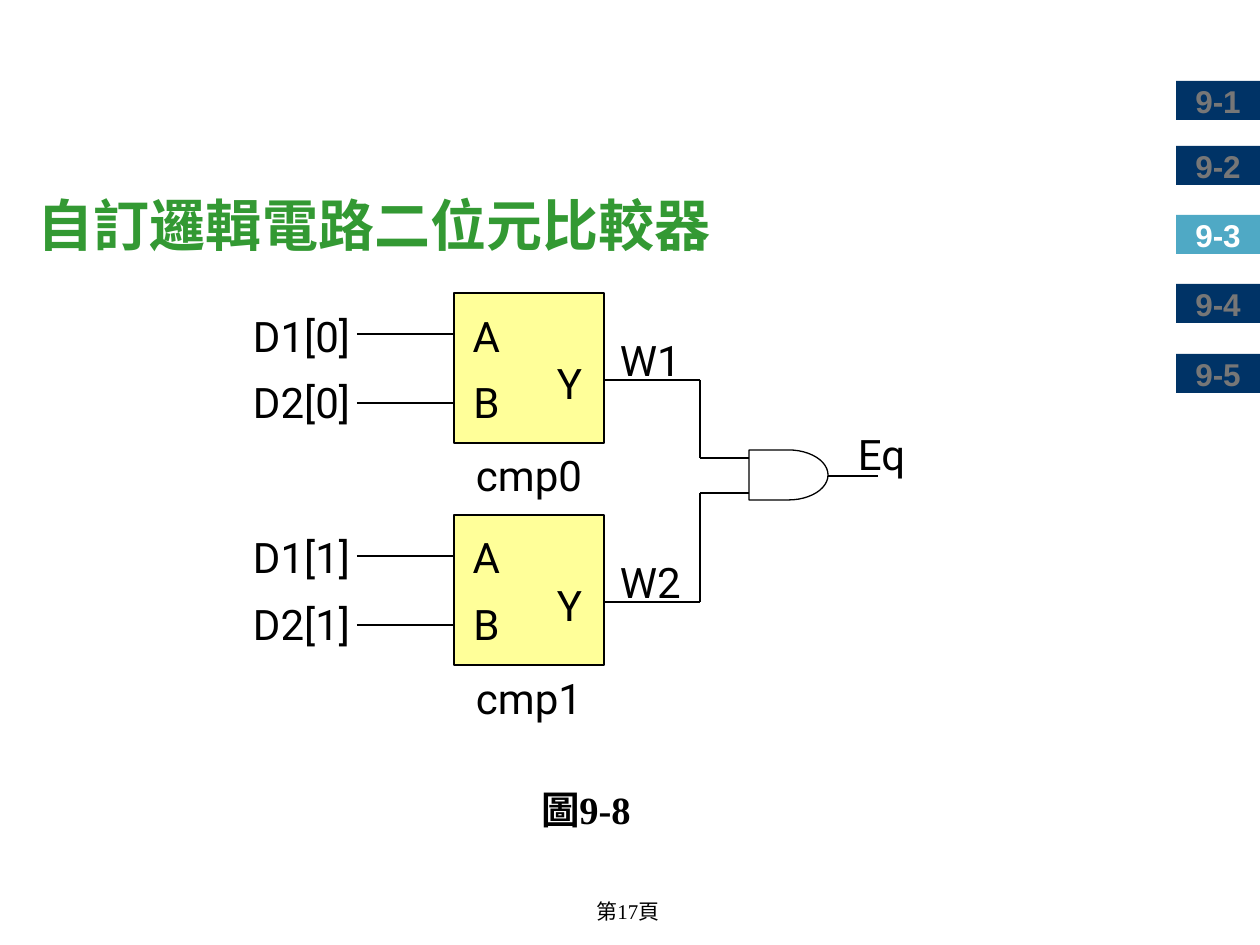
from pptx import Presentation
from pptx.dml.color import RGBColor
from pptx.enum.shapes import MSO_CONNECTOR, MSO_SHAPE
from pptx.enum.text import MSO_ANCHOR, PP_ALIGN
from pptx.oxml.ns import qn
from pptx.util import Emu, Pt

RECT = MSO_SHAPE.RECTANGLE
GATE = MSO_SHAPE.FLOWCHART_DELAY
LINE = MSO_CONNECTOR.STRAIGHT
LEFT, MID = PP_ALIGN.LEFT, PP_ALIGN.CENTER
TOP, CENTER = MSO_ANCHOR.TOP, MSO_ANCHOR.MIDDLE
SCALE = 914400 / 126
COLORS = {
    "ink": "000000", "title": "339933", "block": "FFFF99", "tab": "003366",
    "dim": "777777", "live": "4FA9C5", "white": "FFFFFF",
}


def px(n):
    return Emu(round(n * SCALE))


def color(name):
    return RGBColor.from_string(COLORS[name])


def write(shape, text, size, font, tint="ink", bold=False, align=LEFT, anchor=TOP):
    frame = shape.text_frame
    frame.word_wrap = True
    frame.vertical_anchor = anchor
    frame.margin_left = frame.margin_right = 0
    frame.margin_top = frame.margin_bottom = 0
    para = frame.paragraphs[0]
    para.text = text
    para.alignment = align
    para.font.size = Pt(size)
    para.font.name = font
    para.font.bold = bold
    para.font.color.rgb = color(tint)


def label(slide, box, text, size=24, font="Roboto", **style):
    write(slide.shapes.add_textbox(*map(px, box)), text, size, font, **style)


def shape(slide, kind, box, fill=None, line=None):
    item = slide.shapes.add_shape(kind, *map(px, box))
    item.shadow.inherit = False
    if fill:
        item.fill.solid()
        item.fill.fore_color.rgb = color(fill)
    else:
        item.fill.background()
    if line:
        item.line.color.rgb = color(line)
        item.line.width = Pt(0.75)
    else:
        item.line.fill.background()
    return item


def wire(slide, *points):
    for start, end in zip(points, points[1:]):
        item = slide.shapes.add_connector(LINE, *map(px, start + end))
        item.line.color.rgb = color("ink")
        item.line.width = Pt(0.75)
        props = item._element.spPr
        props.append(props.makeelement(qn("a:effectLst"), {}))


def tabs(slide, x, w, h, tops, live):
    for i, y in enumerate(tops, 1):
        fill, tint = ("live", "white") if i == live else ("tab", "dim")
        item = shape(slide, RECT, (x, y, w, h), fill)
        write(item, f"9-{i}", 18, "Arial", tint, True, MID, CENTER)


def block(slide, x, y, side, index):
    shape(slide, RECT, (x, y, side, side), "block", "ink")
    for i, pin in enumerate("AB"):
        top = y + 17 + 66 * i
        label(slide, (x, top, 65, 67), pin, align=MID)
        label(slide, (x - 201, top, 105, 43), f"D{i + 1}[{index}]")
        level = y + 41 + 69 * i
        wire(slide, (x - 97, level), (x, level))
    label(slide, (x + 83, y + 64, 65, 67), "Y", align=MID)
    label(slide, (x, y + 157, side, 43), f"cmp{index}", align=MID)
    label(slide, (x + 166, y + 41, 69, 43), f"W{index + 1}")
    return x + side, y + 87


def gate(slide, x, y, w, h, outs):
    bend = x - 49
    for (left, level), port in zip(outs, (y + 8, y + 43)):
        wire(slide, (left, level), (bend, level), (bend, port), (x, port))
    shape(slide, GATE, (x, y, w, h), line="ink")
    mid = y + h // 2 + 1
    wire(slide, (x + w, mid), (x + w + 50, mid))
    label(slide, (x + w + 30, y - 22, 69, 43), "Eq")


def main():
    deck = Presentation()
    deck.slide_width, deck.slide_height = px(1260), px(945)
    slide = deck.slides.add_slide(deck.slide_layouts[6])
    label(slide, (548, 899, 160, 32), "第17頁", 12, "Times New Roman", align=MID)
    tabs(slide, 1176, 84, 39, (81, 146, 215, 284, 354), 3)
    label(slide, (38, 191, 1110, 75), "自訂邏輯電路二位元比較器", 32, "Arial",
          tint="title", bold=True)
    outs = [block(slide, 454, 293 + 222 * i, 150, i) for i in range(2)]
    gate(slide, 749, 450, 79, 50, outs)
    label(slide, (541, 786, 130, 50), "圖9-8", 22, "Times New Roman", bold=True)
    deck.save("out.pptx")


if __name__ == "__main__":
    main()
